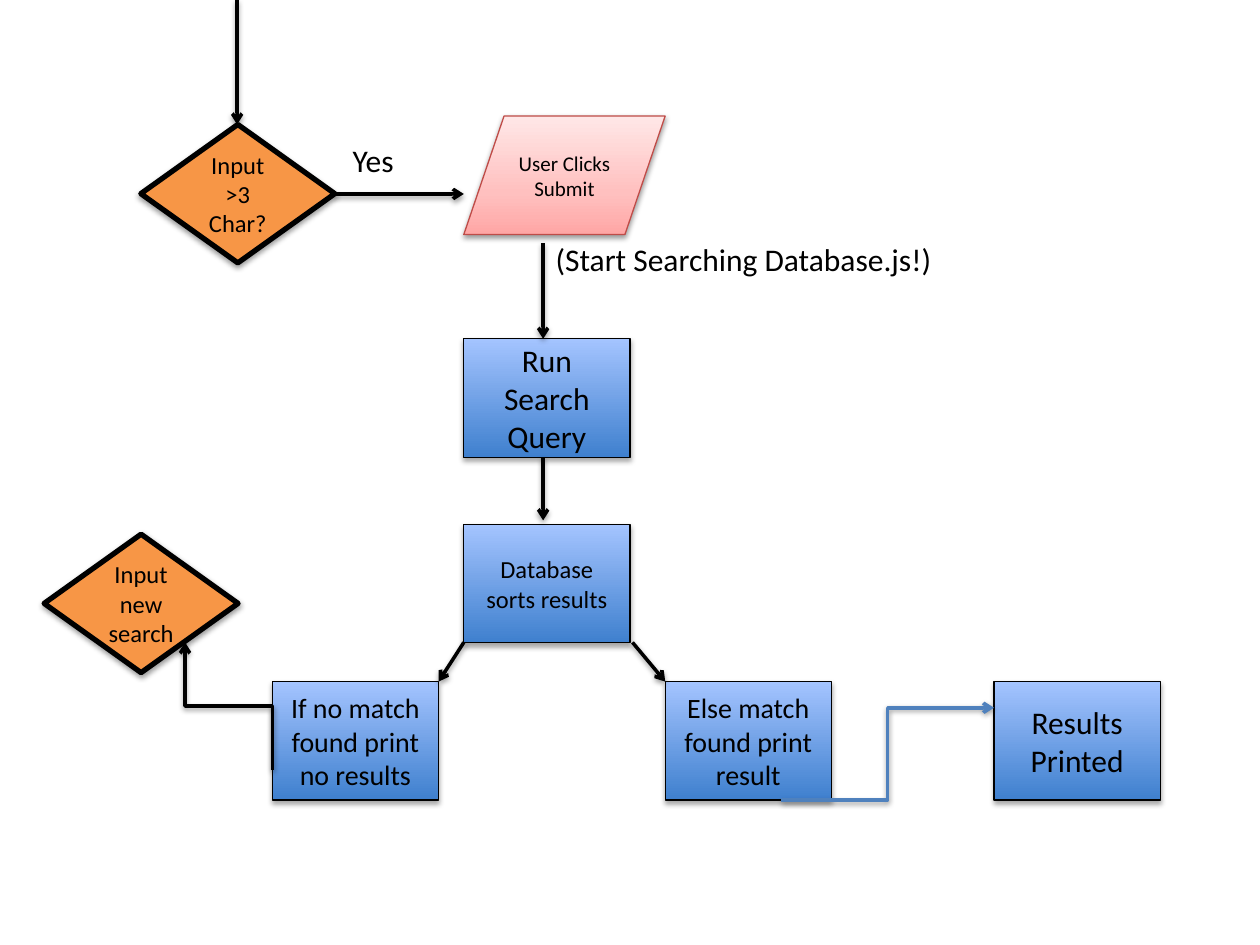
from lxml import etree
from pptx import Presentation
from pptx.dml.color import RGBColor
from pptx.enum import shapes, text
from pptx.oxml import ns
from pptx.util import Cm, Pt

BLACK = RGBColor(0x00, 0x00, 0x00)
ORANGE = RGBColor(0xF7, 0x96, 0x46)
RED = RGBColor(0xBF, 0x4C, 0x48)
BLUE = RGBColor(0x4F, 0x81, 0xBD)
PINK_STOPS = [(0, RGBColor(0xFF, 0xA6, 0xA5)), (35, RGBColor(0xFF, 0xC0, 0xBF)),
              (100, RGBColor(0xFF, 0xE7, 0xE7))]
BLUE_STOPS = [(0, RGBColor(0x3F, 0x80, 0xCE)), (100, RGBColor(0xA4, 0xC4, 0xFF))]

FONT = "Calibri"
KIND = shapes.MSO_SHAPE
STYLES = {
    "decision": dict(shape=KIND.FLOWCHART_DECISION, size=(3.91, 2.79), fill=ORANGE,
                     line=BLACK, width=3, shadow=(38, 1.6)),
    "input": dict(shape=KIND.FLOWCHART_DATA, size=(4.06, 2.39), fill=PINK_STOPS,
                  line=RED, width=0.75, shadow=(38, 1.6)),
    "process": dict(shape=KIND.FLOWCHART_PROCESS, size=(3.35, 2.39), fill=BLUE_STOPS,
                    line=BLACK, width=0.75, shadow=(35, 1.8)),
}

MAIN_X, RESULT_Y = 9.35, 13.74  # main column and bottom row, in cm
STEPS = [  # style, left, top, wording, text size
    ("decision", 2.84, 2.51, "Input >3 Char?", 14),
    ("input", MAIN_X, 2.34, "User Clicks Submit", 12),
    ("process", MAIN_X, 6.83, "Run Search Query", 18),
    ("process", MAIN_X, 10.57, "Database sorts results", 14),
    ("process", 5.49, RESULT_Y, "If no match found print no results", 16),
    ("process", 13.41, RESULT_Y, "Else match found print result", 16),
    ("decision", 0.89, 10.77, "Input new search", 14),
    ("process", 20.04, RESULT_Y, "Results Printed", 18),
]
LABELS = [  # left, top, width, height, wording
    (10.95, 4.72, 8.2, 1.8, "(Start Searching Database.js!)"),
    (6.86, 2.72, 1.4, 1.02, "Yes"),
]
ARROWS = [  # from, to
    ((4.78, 0), (4.78, 2.51)),
    ((6.73, 3.91), (MAIN_X, 3.91)),
    ((10.95, 4.9), (10.95, 6.83)),
    ((10.95, 9.22), (10.95, 10.49)),
    ((MAIN_X, 12.95), (8.84, RESULT_Y)),
    ((12.75, 12.95), (13.41, RESULT_Y)),
]
RETRY = ((5.49, 15.52), (3.73, 12.95))
PRINTING = ((15.75, 16.13), (20.04, 14.27))


def add_node(parent, tag, **values):
    return etree.SubElement(parent, ns.qn(tag), {k: str(v) for k, v in values.items()})


def add_color(parent, color):
    return add_node(parent, "a:srgbClr", val=color)


def add_shadow(item, opacity, distance):
    effects = add_node(item.element.spPr, "a:effectLst")
    shadow = add_node(effects, "a:outerShdw", blurRad=Pt(3.1), dist=Pt(distance),
                      dir=90 * 60000, rotWithShape=0)
    add_node(add_color(shadow, BLACK), "a:alpha", val=opacity * 1000)


def paint(fill, box, colors):
    """Fill with one colour, or with stops that run from bottom to top."""
    if isinstance(colors, RGBColor):
        fill.solid()
        fill.fore_color.rgb = colors
        return
    fill.gradient()
    fill.gradient_angle = 90
    stops = box.element.spPr.find(".//" + ns.qn("a:gsLst"))
    stops[:] = []
    for position, color in colors:
        add_color(add_node(stops, "a:gs", pos=position * 1000), color)


def write(box, wording, size, align):
    para = box.text_frame.paragraphs[0]
    para.alignment = align
    span = para.add_run()
    span.text = wording
    for name, value in dict(name=FONT, size=Pt(size)).items():
        setattr(span.font, name, value)
    span.font.color.rgb = BLACK


def add_step(page, kind, left, top, wording, size):
    style = STYLES[kind]
    box = page.shapes.add_shape(style["shape"], *map(Cm, (left, top, *style["size"])))
    paint(box.fill, box, style["fill"])
    box.line.color.rgb = style["line"]
    box.line.width = Pt(style["width"])
    add_shadow(box, *style["shadow"])
    frame = box.text_frame
    for name, value in dict(word_wrap=True, vertical_anchor=text.MSO_ANCHOR.MIDDLE).items():
        setattr(frame, name, value)
    write(box, wording, size, text.PP_ALIGN.CENTER)


def add_label(page, left, top, width, height, wording):
    box = page.shapes.add_textbox(*map(Cm, (left, top, width, height)))
    box.text_frame.word_wrap = False
    write(box, wording, 18, text.PP_ALIGN.LEFT)


def add_arrow(page, start, end, kind=shapes.MSO_CONNECTOR.STRAIGHT, color=BLACK):
    arrow = page.shapes.add_connector(kind, *map(Cm, (*start, *end)))
    arrow.line.color.rgb = color
    arrow.line.width = Pt(2)
    add_node(arrow.element.spPr.find(ns.qn("a:ln")), "a:tailEnd", type="arrow")
    add_shadow(arrow, 38, 1.6)
    return arrow


def add_upward_elbow(page, start, end):
    """Elbow that leaves and arrives vertically: a level elbow turned by 270 degrees."""
    (x1, y1), (x2, y2) = start, end
    mid_x, mid_y = (x1 + x2) / 2, (y1 + y2) / 2
    half_w, half_h = abs(y2 - y1) / 2, abs(x2 - x1) / 2
    arrow = add_arrow(page, (mid_x - half_w, mid_y + half_h),
                      (mid_x + half_w, mid_y - half_h), shapes.MSO_CONNECTOR.ELBOW)
    arrow.element.spPr.find(ns.qn("a:xfrm")).set("rot", str(270 * 60000))


def main():
    deck = Presentation()
    deck.slide_width, deck.slide_height = Cm(25.4), Cm(19.05)
    page = deck.slides.add_slide(deck.slide_layouts[6])
    for step in STEPS:
        add_step(page, *step)
    for label in LABELS:
        add_label(page, *label)
    for start, end in ARROWS:
        add_arrow(page, start, end)
    add_upward_elbow(page, *RETRY)
    add_arrow(page, *PRINTING, kind=shapes.MSO_CONNECTOR.ELBOW, color=BLUE)
    deck.save("out.pptx")


if __name__ == "__main__":
    main()
